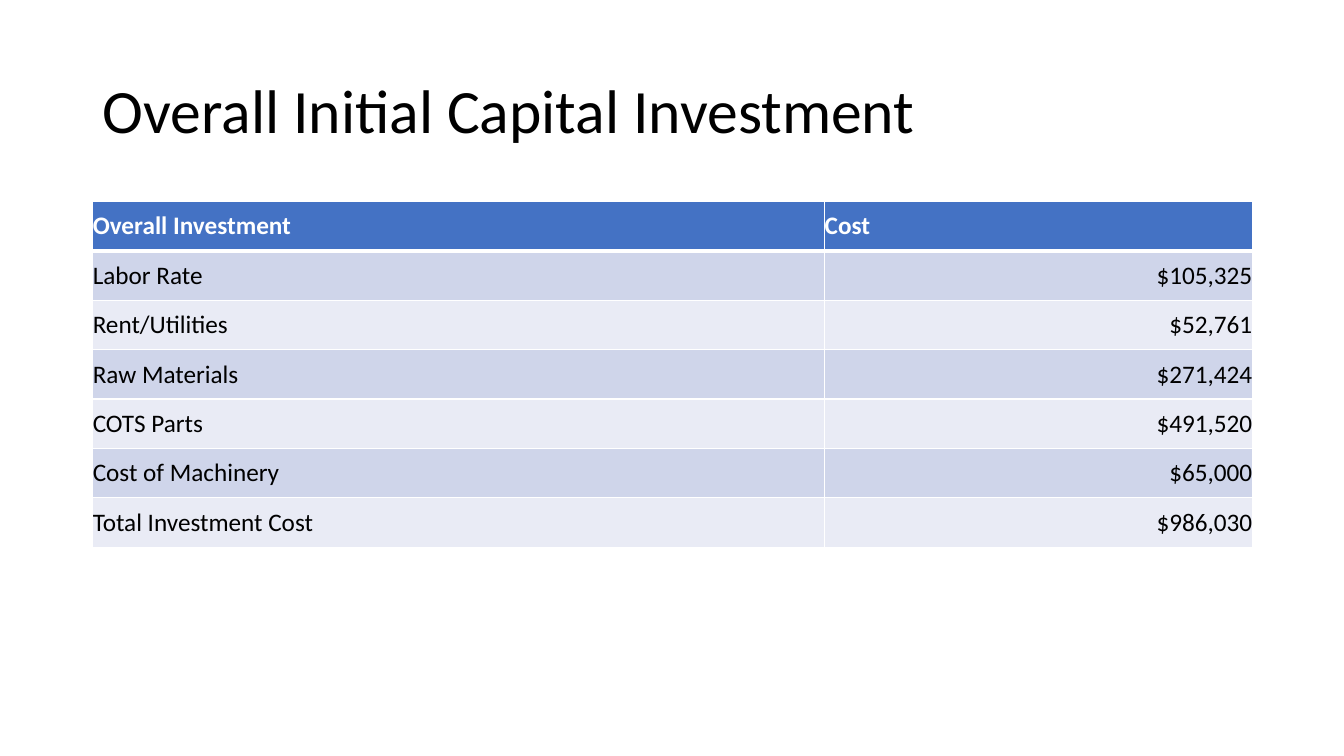
from lxml import etree
from pptx import Presentation
from pptx.dml.color import RGBColor
from pptx.enum import text
from pptx.oxml import ns
from pptx.util import Inches, Pt

BLACK = RGBColor(0x00, 0x00, 0x00)
WHITE = RGBColor(0xFF, 0xFF, 0xFF)
HEADER_BLUE = RGBColor(0x44, 0x72, 0xC4)
BANDS = (RGBColor(0xE9, 0xEB, 0xF5), RGBColor(0xCF, 0xD5, 0xEA))

INVESTMENTS = [
    ("Overall Investment", "Cost"),
    ("Labor Rate", "$105,325"),
    ("Rent/Utilities", "$52,761"),
    ("Raw Materials", "$271,424"),
    ("COTS Parts", "$491,520"),
    ("Cost of Machinery", "$65,000"),
    ("Total Investment Cost", "$986,030"),
]


def write(paragraph, content, size=18, color=BLACK, bold=False,
          align=text.PP_ALIGN.LEFT, line_spacing=None, font="Calibri"):
    paragraph.alignment = align
    paragraph.line_spacing = line_spacing
    run = paragraph.add_run()
    run.text = content
    run.font.name = font
    run.font.size = Pt(size)
    run.font.bold = bold
    run.font.color.rgb = color


class SlideBuilder:
    def __init__(self, slide, left, width):
        self.slide = slide
        self.left = Inches(left)
        self.width = Inches(width)

    def title(self, content, top, height):
        box = self.slide.shapes.add_textbox(
            self.left, Inches(top), self.width, Inches(height))
        frame = box.text_frame
        frame.word_wrap = True
        frame.vertical_anchor = text.MSO_ANCHOR.MIDDLE
        write(frame.paragraphs[0], content, size=44, line_spacing=0.9)

    def border(self, cell, side, width):
        properties = cell._tc.get_or_add_tcPr()
        line = etree.SubElement(properties, ns.qn(f"a:ln{side}"), w=str(Pt(width)))
        fill = etree.SubElement(line, ns.qn("a:solidFill"))
        etree.SubElement(fill, ns.qn("a:srgbClr"), val=str(WHITE))

    def cell(self, cell, content, row, column):
        header = row == 0
        cell.margin_left = cell.margin_right = 0
        cell.margin_top = cell.margin_bottom = 0
        cell.vertical_anchor = text.MSO_ANCHOR.MIDDLE
        widths = {"L": 1, "R": 1, "T": 3 if row == 1 else 1, "B": 3 if header else 1}
        for side, width in widths.items():
            self.border(cell, side, width)
        cell.fill.solid()
        cell.fill.fore_color.rgb = HEADER_BLUE if header else BANDS[row % 2]
        amount = column == 1 and not header
        write(cell.text_frame.paragraphs[0], content,
              color=WHITE if header else BLACK, bold=header,
              align=text.PP_ALIGN.RIGHT if amount else text.PP_ALIGN.LEFT)

    def table(self, rows, top, row_height, column_widths):
        table = self.slide.shapes.add_table(
            len(rows), len(column_widths), self.left, Inches(top),
            self.width, Inches(row_height * len(rows))).table
        for column, width in zip(table.columns, column_widths):
            column.width = Inches(width)
        for row, contents in enumerate(rows):
            table.rows[row].height = Inches(row_height)
            for column, content in enumerate(contents):
                self.cell(table.cell(row, column), content, row, column)


def main():
    presentation = Presentation()
    presentation.slide_width = Inches(13.33)
    presentation.slide_height = Inches(7.5)
    slide = presentation.slides.add_slide(presentation.slide_layouts[6])
    builder = SlideBuilder(slide, left=0.92, width=11.5)
    builder.title("Overall Initial Capital Investment", top=0.4, height=1.45)
    builder.table(INVESTMENTS, top=2, row_height=0.49, column_widths=(7.26, 4.24))
    presentation.save("out.pptx")


if __name__ == "__main__":
    main()
